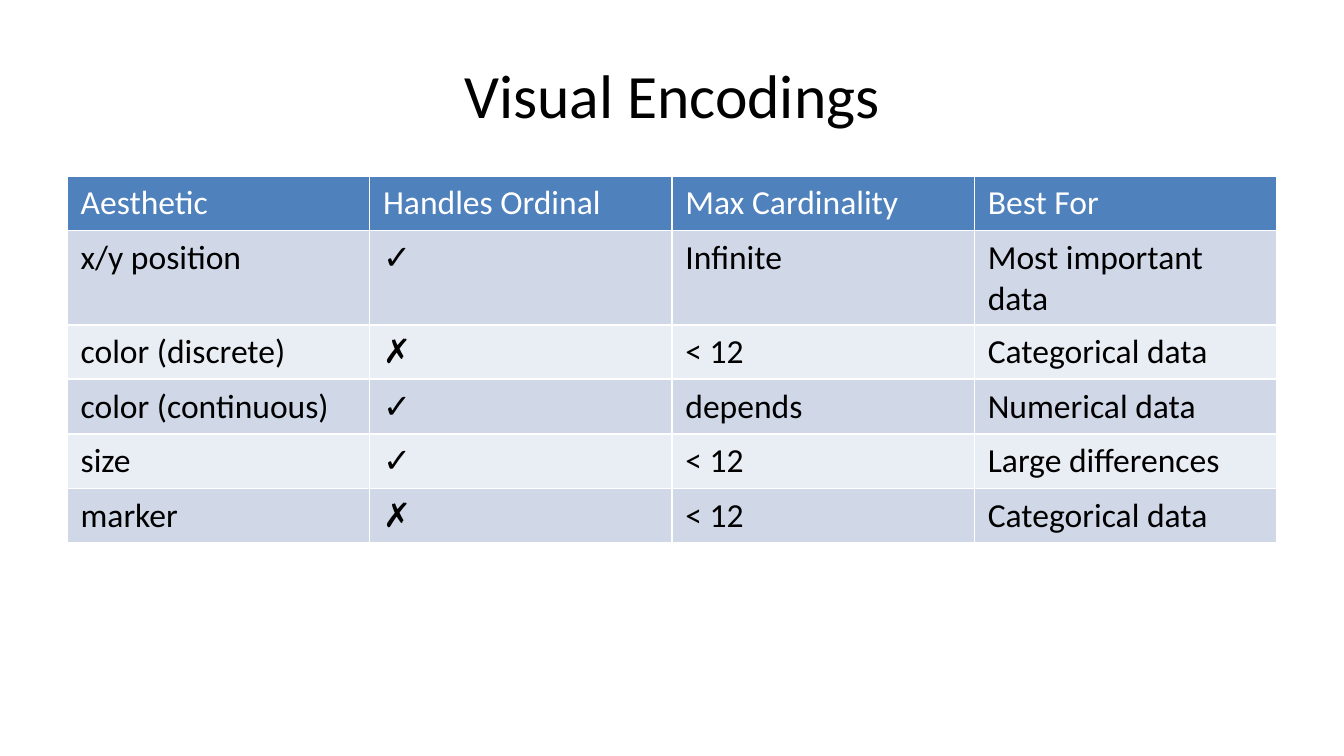
from lxml import etree
from pptx import Presentation
from pptx.dml.color import RGBColor
from pptx.enum.text import MSO_ANCHOR, PP_ALIGN
from pptx.oxml.ns import qn
from pptx.util import Inches, Pt

FONT = "Calibri"
COLORS = {"text": "000000", "header_text": "FFFFFF", "header": "4F81BD",
          "odd_row": "D0D8E8", "even_row": "E9EDF4", "border": "FFFFFF"}
ROWS = [
    ("Aesthetic", "Handles Ordinal", "Max Cardinality", "Best For"),
    ("x/y position", "✓", "Infinite", "Most important data"),
    ("color (discrete)", "✗", "< 12", "Categorical data"),
    ("color (continuous)", "✓", "depends", "Numerical data"),
    ("size", "✓", "< 12", "Large differences"),
    ("marker", "✗", "< 12", "Categorical data"),
]
# Five one-line rows share 2.03 inches; the first body row holds two lines
ONE_LINE = 2.03 / 5
ROW_HEIGHTS = [ONE_LINE, 0.7] + [ONE_LINE] * 4


def style_text(tf, size, color):
    for p in tf.paragraphs:
        for r in p.runs:
            r.font.name = FONT
            r.font.size = Pt(size)
            r.font.color.rgb = RGBColor.from_string(COLORS[color])


def set_borders(cell, color, width):
    tc_pr = cell._tc.get_or_add_tcPr()
    # Border lines must come before the cell fill
    for i, side in enumerate(("lnL", "lnR", "lnT", "lnB")):
        ln = etree.Element(qn(f"a:{side}"), w=str(Pt(width)))
        fill = etree.SubElement(ln, qn("a:solidFill"))
        etree.SubElement(fill, qn("a:srgbClr"), val=COLORS[color])
        tc_pr.insert(i, ln)


def add_title(s, text, left, top, width, height):
    sp = s.shapes.add_textbox(Inches(left), Inches(top), Inches(width), Inches(height))
    tf = sp.text_frame
    tf.word_wrap = True
    tf.vertical_anchor = MSO_ANCHOR.MIDDLE
    tf.text = text
    tf.paragraphs[0].alignment = PP_ALIGN.CENTER
    style_text(tf, 33, "text")


def add_encoding_table(s, rows, left, top, width):
    n_cols = len(rows[0])
    table = s.shapes.add_table(len(rows), n_cols, Inches(left), Inches(top),
                               Inches(width), Inches(sum(ROW_HEIGHTS))).table
    for col in table.columns:
        col.width = Inches(width / n_cols)
    for i, (values, height) in enumerate(zip(rows, ROW_HEIGHTS)):
        table.rows[i].height = Inches(height)
        fill = "header" if i == 0 else "odd_row" if i % 2 else "even_row"
        for j, value in enumerate(values):
            cell = table.cell(i, j)
            cell.text_frame.text = value
            style_text(cell.text_frame, 18, "text" if i else "header_text")
            cell.fill.solid()
            cell.fill.fore_color.rgb = RGBColor.from_string(COLORS[fill])
            set_borders(cell, "border", 1)


def main():
    prs = Presentation()
    # Widescreen, 16:9
    prs.slide_width = Inches(10)
    prs.slide_height = Inches(10 * 9 / 16)
    s = prs.slides.add_slide(prs.slide_layouts[6])
    add_title(s, "Visual Encodings", 0.5, 0.23, 9, 0.94)
    add_encoding_table(s, ROWS, 0.5, 1.31, 9)
    prs.save("out.pptx")


if __name__ == "__main__":
    main()
